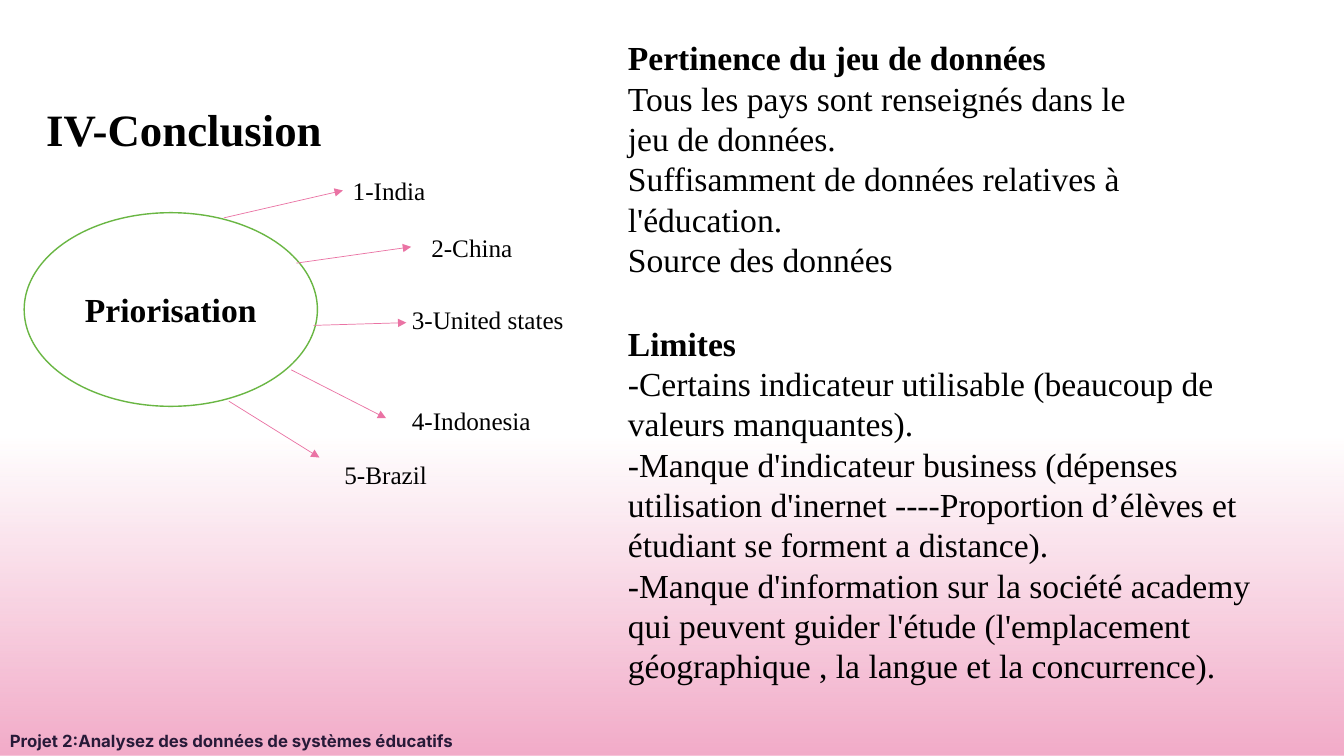
from lxml.etree import SubElement
from pptx import Presentation
from pptx.dml.color import RGBColor
from pptx.enum.shapes import MSO_CONNECTOR as Connector, MSO_SHAPE as Preset
from pptx.enum.text import MSO_ANCHOR as Anchor, MSO_AUTO_SIZE as AutoSize, PP_ALIGN as Align
from pptx.oxml.ns import qn
from pptx.util import Cm, Pt

COLORS = {"text": "000000", "footer": "271A38", "oval": "FFFFFF",
          "outline": "69B643", "arrow": "EA73A4", "glow": "F2ABC8"}
SERIF = "Times New Roman"

# country, label (left, top, width), arrow (start x, start y, end x, end y)
PRIORITIES = [
    ("India", (8.64, 4.29, 2.69), (5.64, 5.49, 8.64, 4.8)),
    ("China", (10.62, 5.72, 3.05), (7.47, 6.63, 10.36, 6.22)),
    ("United states", (10.13, 7.54, 4.8), (7.9, 8.2, 10.24, 8.13)),
    ("Indonesia", (10.13, 10.08, 3.53), (7.34, 9.32, 9.73, 10.54)),
    ("Brazil", (8.43, 11.46, 2.62), (5.77, 10.11, 8.05, 11.53)),
]
RELEVANCE = [
    "Pertinence du jeu de données",
    "Tous les pays sont renseignés dans le jeu de données.",
    "Suffisamment de données relatives à l'éducation.",
    "Source des données",
]
LIMITS = [
    "Limites",
    "-Certains indicateur utilisable (beaucoup de valeurs manquantes).",
    "-Manque d'indicateur business (dépenses utilisation d'inernet "
    "----Proportion d’élèves et étudiant se forment a distance).",
    "-Manque d'information sur la société academy qui peuvent guider l'étude "
    "(l'emplacement géographique , la langue et la concurrence).",
]


def color(name):
    return RGBColor.from_string(COLORS[name])


def set_formats(target, formats):
    for name, value in formats.items():
        setattr(target, name, value)


class SlideBuilder:
    def __init__(self, slide):
        self.slide = slide
        self.shapes = slide.shapes

    def set_text(self, shape, lines, size, bold=False, font=SERIF, ink="text",
                 align=Align.LEFT, anchor=Anchor.TOP, wrap=True):
        frame = shape.text_frame
        frame.text = "\n".join(lines)
        set_formats(frame, {"word_wrap": wrap, "auto_size": AutoSize.NONE,
                            "vertical_anchor": anchor})
        for paragraph in frame.paragraphs:
            set_formats(paragraph, {"alignment": align, "space_before": Pt(0)})
            set_formats(paragraph.font, {"name": font, "size": Pt(size), "bold": bold})
            paragraph.font.color.rgb = color(ink)

    def place(self, shape, left, top, width, height):
        set_formats(shape, {"left": Cm(left), "top": Cm(top),
                            "width": Cm(width), "height": Cm(height)})

    def shape(self, preset, box):
        shape = self.shapes.add_shape(preset, *map(Cm, box))
        shape.shadow.inherit = False
        return shape

    def glow(self, box):
        """Add a band that fades in downwards, behind everything else."""
        band = self.shape(Preset.RECTANGLE, box)
        band.line.fill.background()
        band.fill.gradient()
        band.fill.gradient_angle = 270
        for stop, position in zip(band.fill.gradient_stops, (0.14, 1)):
            stop.position = position
            stop.color.rgb = color("glow")
        first_color = next(band._element.spPr.iter(qn("a:srgbClr")))
        SubElement(first_color, qn("a:alpha"), val="0")
        self.shapes._spTree.insert(2, band._element)

    def title(self, text, box):
        self.place(self.shapes.title, *box)
        self.set_text(self.shapes.title, [text], 32, bold=True)

    def section(self, index, lines, box):
        """Fill a body placeholder with a bold heading and plain lines."""
        body = self.slide.placeholders[index]
        self.place(body, *box)
        self.set_text(body, lines, 24)
        for paragraph in body.text_frame.paragraphs:
            properties = paragraph._p.get_or_add_pPr()
            properties.set("marL", "0")
            properties.set("indent", "0")
            bullet = SubElement(properties, qn("a:buNone"))
            properties.find(qn("a:defRPr")).addprevious(bullet)
        body.text_frame.paragraphs[0].font.bold = True

    def text(self, text, box, size, **style):
        self.set_text(self.shapes.add_textbox(*map(Cm, box)), [text], size, **style)

    def oval(self, text, box):
        oval = self.shape(Preset.OVAL, box)
        oval.fill.solid()
        oval.fill.fore_color.rgb = color("oval")
        oval.line.color.rgb = color("outline")
        oval.line.width = Pt(1)
        self.set_text(oval, [text], 24, bold=True, align=Align.CENTER, anchor=Anchor.MIDDLE)

    def arrow(self, points):
        arrow = self.shapes.add_connector(Connector.STRAIGHT, *map(Cm, points))
        arrow.line.color.rgb = color("arrow")
        arrow.line.width = Pt(0.5)
        properties = arrow._element.spPr
        SubElement(properties.find(qn("a:ln")), qn("a:tailEnd"), type="triangle")
        SubElement(properties, qn("a:effectLst"))


def main():
    presentation = Presentation()
    set_formats(presentation, {"slide_width": Cm(33.87), "slide_height": Cm(19.05)})
    two_content = presentation.slide_layouts[3]
    builder = SlideBuilder(presentation.slides.add_slide(two_content))

    builder.glow((0, 9.75, 33.87, 9.3))
    builder.title("IV-Conclusion", (0.91, 2.44, 16.94, 1.63))
    builder.section(1, RELEVANCE, (15.57, 0.81, 13.21, 6.4))
    builder.section(2, LIMITS, (15.57, 8, 16.92, 9.5))
    builder.text("Projet 2:Analysez des données de systèmes éducatifs",
                 (0, 18.29, 16.1, 0.76), 12, bold=True, font="Inter", ink="footer")
    builder.oval("Priorisation", (0.61, 5.36, 7.39, 4.88))
    for rank, (country, label, points) in enumerate(PRIORITIES, 1):
        builder.arrow(points)
        builder.text(f"{rank}-{country}", (*label, 1.02), 18, wrap=False)
    presentation.save("out.pptx")


if __name__ == "__main__":
    main()
